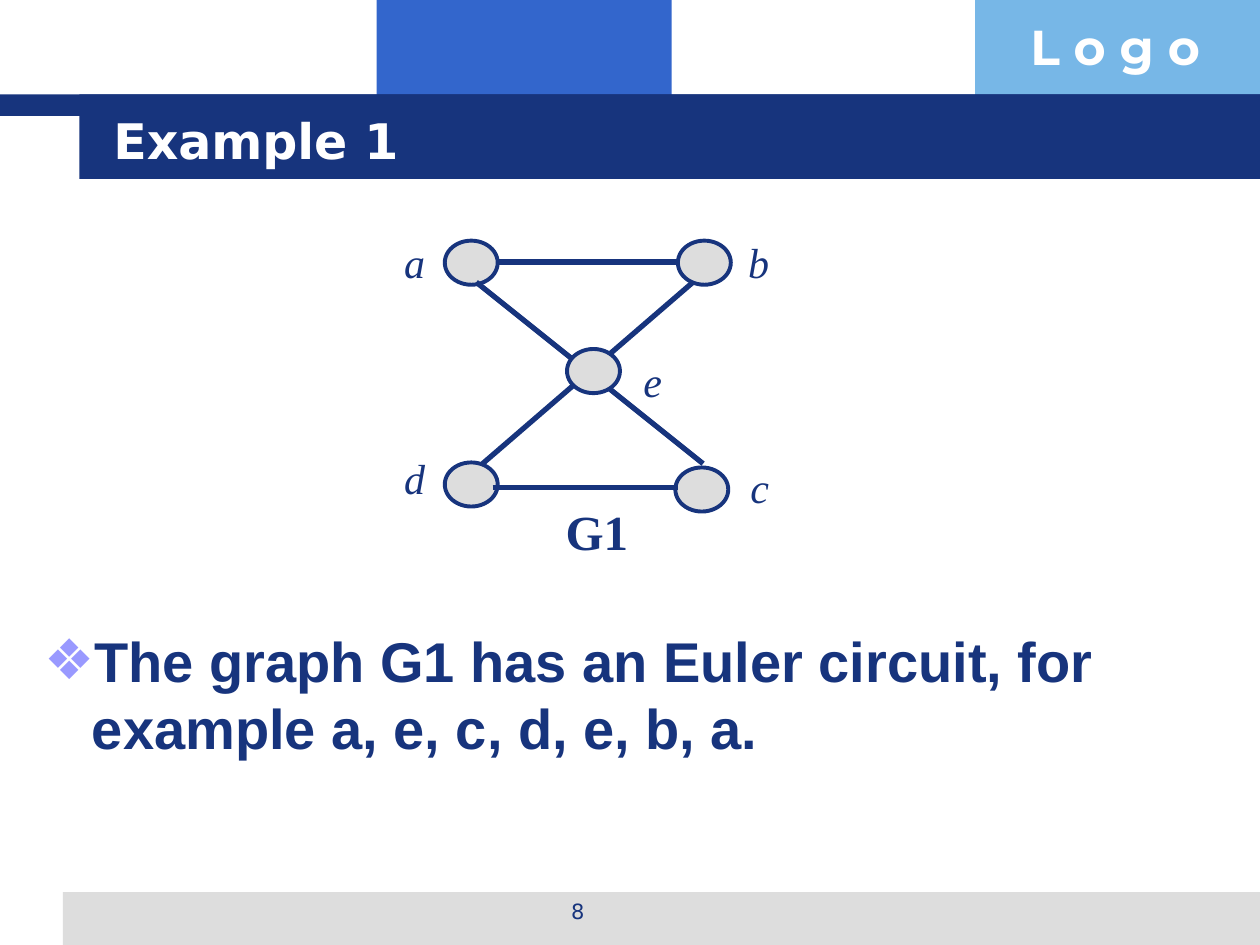
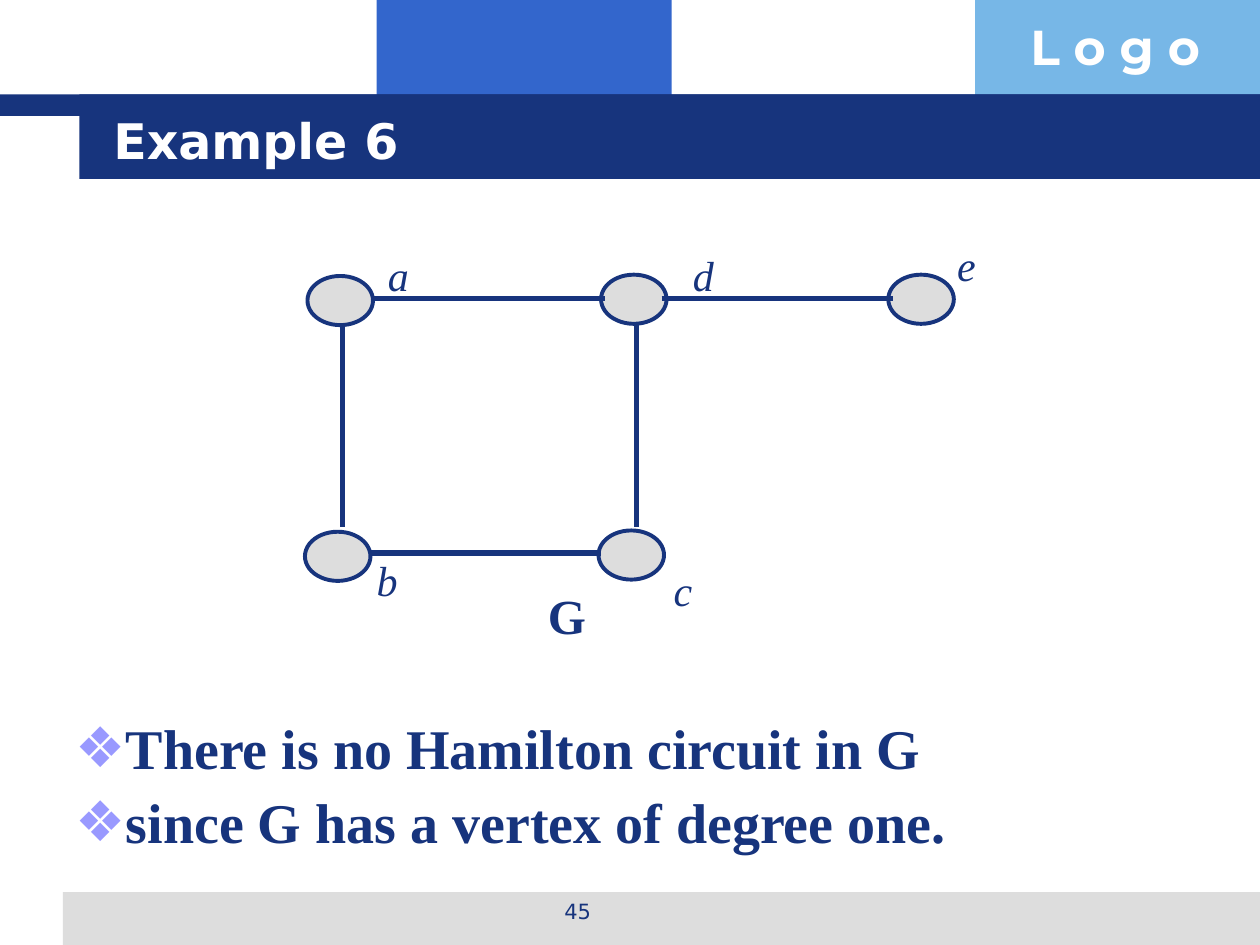
from lxml import etree
from pptx import Presentation
from pptx.dml.color import RGBColor
from pptx.enum.shapes import MSO_CONNECTOR, MSO_SHAPE
from pptx.enum.text import MSO_ANCHOR, MSO_AUTO_SIZE, PP_ALIGN
from pptx.oxml.ns import qn
from pptx.util import Inches, Pt

RECT, OVAL = MSO_SHAPE.RECTANGLE, MSO_SHAPE.OVAL
LINE = MSO_CONNECTOR.STRAIGHT
LEFT, CENTER = PP_ALIGN.LEFT, PP_ALIGN.CENTER
TOP, MIDDLE = MSO_ANCHOR.TOP, MSO_ANCHOR.MIDDLE
NO_FIT = MSO_AUTO_SIZE.NONE

COLORS = {"navy": "17347D", "blue": "3366CC", "sky": "77B7E7",
          "gray": "DDDDDD", "white": "FFFFFF", "bullet": "9999FF"}
SERIF, SANS, ARIAL, LOGO = "Times New Roman", "DejaVu Sans", "Arial", "Montserrat"

BANDS = [
    ("blue", 2.99, 0, 2.34, 0.92),
    ("sky", 7.74, 0, 2.26, 0.92),
    ("gray", 0.5, 7.08, 9.5, 0.42),
    ("navy", 0, 0.75, 10, 0.17),
    ("navy", 0.63, 0.75, 9.37, 0.67),
]


def color(name):
    return RGBColor.from_string(COLORS[name])


def place(shape, x, y, w, h):
    shape.left, shape.top = Inches(x), Inches(y)
    shape.width, shape.height = Inches(w), Inches(h)


def style(para, font, size, tint="navy", bold=False, italic=False, align=LEFT):
    para.alignment = align
    face = para.font
    face.name, face.size = font, Pt(size)
    face.bold, face.italic = bold, italic
    face.color.rgb = color(tint)


def add_text(slide, text, box, font, size, anchor=TOP, wrap=True, **look):
    shape = slide.shapes.add_textbox(*map(Inches, box))
    frame = shape.text_frame
    frame.word_wrap, frame.vertical_anchor = wrap, anchor
    frame.text = text
    style(frame.paragraphs[0], font, size, **look)
    return shape


def add_solid(slide, kind, fill, box):
    shape = slide.shapes.add_shape(kind, *map(Inches, box))
    shape.shadow.inherit = False
    shape.fill.solid()
    shape.fill.fore_color.rgb = color(fill)
    shape.line.fill.background()
    return shape


def add_frame(slide, layout):
    """Draw the bands and the logo text, then move them to the layout."""
    parts = [add_solid(slide, RECT, fill, box) for fill, *box in BANDS]
    parts.append(add_text(slide, "L o g o", (8.08, 0.08, 1.93, 0.57),
                          LOGO, 28, tint="white", bold=True))
    tree = layout.shapes.element
    for i, part in enumerate(parts):
        part.element.xpath(".//p:cNvPr")[0].set("id", str(20 + i))
        tree.insert(2 + i, part.element)


def add_title(slide, text):
    title = slide.shapes.title
    place(title, 0.8, 0.8, 8.53, 0.62)
    frame = title.text_frame
    frame.auto_size, frame.vertical_anchor = NO_FIT, MIDDLE
    frame.text = text
    style(frame.paragraphs[0], SANS, 28, tint="white", bold=True)


def add_bullet(para):
    props = para._p.get_or_add_pPr()
    props.set("marL", str(Inches(0.38)))
    props.set("indent", str(Inches(-0.38)))
    tint = etree.SubElement(props, qn("a:buClr"))
    etree.SubElement(tint, qn("a:srgbClr")).set("val", COLORS["bullet"])
    etree.SubElement(props, qn("a:buChar")).set("char", "❖")


def add_list(slide, lines, box, font, spacing):
    body = slide.placeholders[1]
    place(body, *box)
    frame = body.text_frame
    frame.auto_size = NO_FIT
    frame.text = "\n".join(lines)
    for i, para in enumerate(frame.paragraphs):
        add_bullet(para)
        para.space_before = Pt(8 if i else 0)
        para.line_spacing = spacing
        style(para, font, 32, bold=True)


def add_nodes(slide, nodes, size):
    """Each node is a letter, the oval's corner and the letter box's corner."""
    for letter, spot, label in nodes:
        oval = add_solid(slide, OVAL, "gray", (*spot, *size))
        oval.line.color.rgb = color("navy")
        oval.line.width = Pt(2.25)
        add_text(slide, letter, (*label, 0.36, 0.5), SERIF, 24, anchor=MIDDLE,
                 wrap=False, italic=True, align=CENTER)


def add_edges(slide, edges):
    for ends in edges:
        edge = slide.shapes.add_connector(LINE, *map(Inches, ends))
        edge.line.color.rgb = color("navy")
        edge.line.width = Pt(3)
        etree.SubElement(edge.element.spPr, qn("a:effectLst"))


def add_name(slide, text, x, y):
    add_text(slide, text, (x, y, 0.8, 0.57), SERIF, 28, bold=True)


def add_page(slide, number):
    add_text(slide, number, (3.42, 7.08, 2.33, 0.35), SANS, 12, align=CENTER)


def draw_euler(slide):
    size = (0.42, 0.35)
    add_title(slide, "Example 1")
    add_page(slide, "8")
    add_nodes(slide, [
        ("a", (3.53, 1.91), (3.11, 1.83)),
        ("b", (5.38, 1.91), (5.84, 1.83)),
        ("c", (5.36, 3.71), (5.85, 3.61)),
        ("d", (3.53, 3.67), (3.11, 3.54)),
    ], size)
    add_edges(slide, [
        (5.58, 3.68, 3.78, 2.24),
        (3.83, 3.68, 5.5, 2.24),
        (3.94, 2.08, 5.4, 2.08),
        (3.91, 3.87, 5.38, 3.87),
    ])
    add_nodes(slide, [("e", (4.5, 2.77), (5, 2.77))], size)
    add_name(slide, "G1", 4.39, 3.93)
    add_list(slide, ["The graph G1 has an Euler circuit, for example "
                     "a, e, c, d, e, b, a."], (0.25, 4.92, 9.42, 1.92), ARIAL, 1.0)


def draw_hamilton(slide):
    add_title(slide, "Example 6")
    add_page(slide, "45")
    add_nodes(slide, [
        ("a", (2.44, 2.19), (2.98, 1.93)),
        ("b", (2.42, 4.22), (2.89, 4.35)),
        ("c", (4.75, 4.21), (5.24, 4.43)),
        ("d", (4.77, 2.18), (5.4, 1.93)),
        ("e", (7.05, 2.18), (7.49, 1.85)),
    ], (0.52, 0.39))
    add_edges(slide, [
        (2.72, 2.59, 2.72, 4.18),
        (5.05, 2.58, 5.05, 4.18),
        (2.97, 2.37, 4.8, 2.37),
        (2.93, 4.39, 4.77, 4.39),
        (5.25, 2.37, 7.09, 2.37),
    ])
    add_name(slide, "G", 4.25, 4.6)
    add_list(slide, ["There is no Hamilton circuit in G",
                     "since G has a vertex of degree one."],
             (0.5, 5.67, 9, 1.22), SERIF, 0.9)


def main():
    deck = Presentation()
    deck.slide_width, deck.slide_height = Inches(10), Inches(7.5)
    layout = deck.slide_layouts[1]
    euler, hamilton = (deck.slides.add_slide(layout) for _ in range(2))
    add_frame(euler, layout)
    draw_euler(euler)
    draw_hamilton(hamilton)
    deck.save("out.pptx")


if __name__ == "__main__":
    main()
